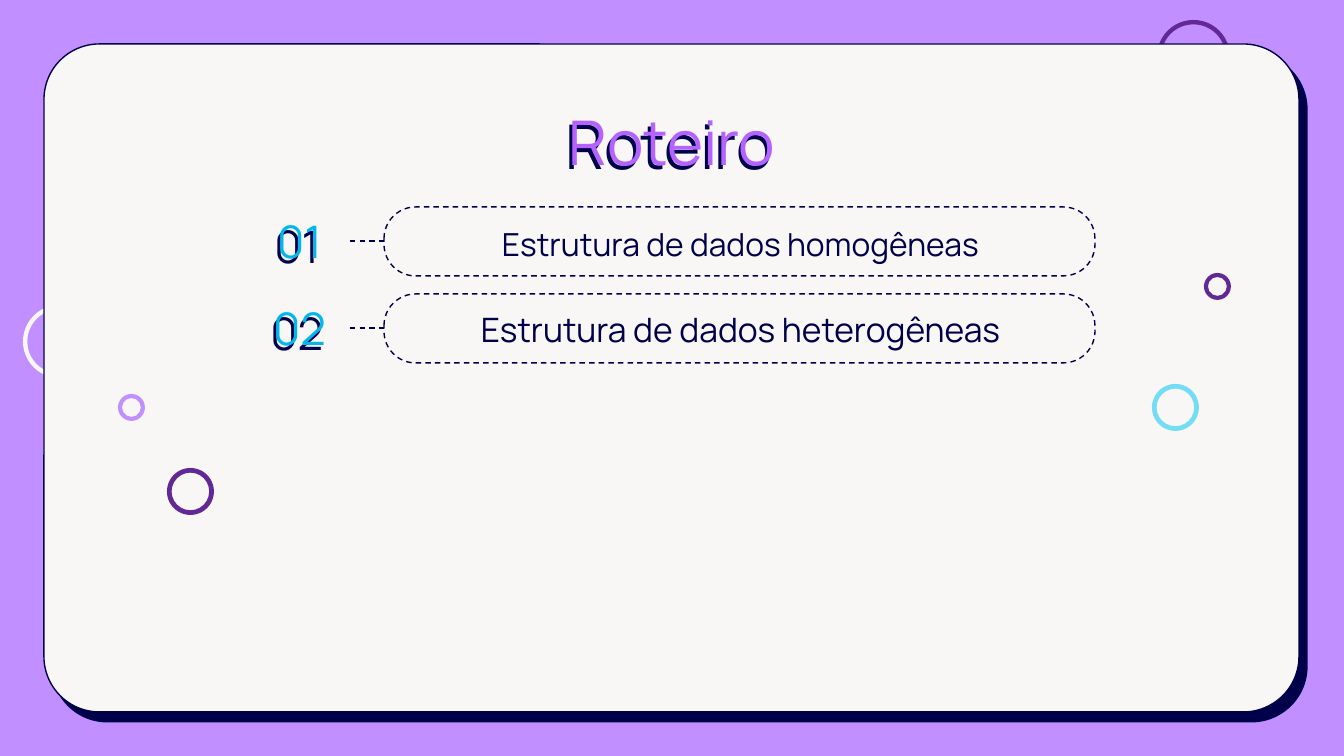
from dataclasses import dataclass

from lxml import etree
from pptx import Presentation
from pptx import util as u
from pptx.dml.color import RGBColor
from pptx.enum import dml, shapes, text
from pptx.oxml import ns

PX = u.Inches(10) / 1344
NAVY, CREAM, LILAC = "00004A", "F8F7F5", "C18FFF"
PLUM, CYAN, AQUA, VIOLET = "622996", "03B7EC", "74DDF3", "B563FF"
FONT = "Manrope"
TOP, STEP = 207, 87


@dataclass
class Box:
    x: int
    y: int
    w: int
    h: int

    def emu(self) -> list[int]:
        return [px(n) for n in (self.x, self.y, self.w, self.h)]


@dataclass
class Ring:
    x: int
    y: int
    size: int
    band: float
    hue: str


@dataclass
class Topic:
    mark: str
    label: str
    size: int


BACK = [Ring(1157, 20, 73, 0.06, PLUM), Ring(23, 305, 73, 0.06, CREAM)]
FRONT = [
    Ring(167, 468, 47, 0.1, PLUM),
    Ring(1204, 273, 27, 0.15, PLUM),
    Ring(1152, 384, 47, 0.1, AQUA),
    Ring(118, 394, 27, 0.15, LILAC),
]
TOPICS = [
    Topic("01", "Estrutura de dados homogêneas", 17),
    Topic("02", "Estrutura de dados heterogêneas", 18),
]


def px(n: int) -> int:
    return round(n * PX)


def rgb(code: str) -> RGBColor:
    return RGBColor.from_string(code)


def shade(shape, dist: float, angle: int) -> None:
    """Give the shape a hard navy shadow, dist in points, angle in degrees."""
    shape.shadow.inherit = False
    host = shape.element.spPr.find(ns.qn("a:effectLst"))
    cast = etree.SubElement(
        host, ns.qn("a:outerShdw"), blurRad="0", dist=str(u.Pt(dist)),
        dir=str(angle * 60000), algn="bl", rotWithShape="0")
    etree.SubElement(cast, ns.qn("a:srgbClr"), val=NAVY)


def edge(line, dash: bool) -> None:
    line.color.rgb = rgb(NAVY)
    line.width = u.Pt(0.75)
    if dash:
        line.dash_style = dml.MSO_LINE.DASH


def panel(slide, box: Box, bend: float, dash: bool):
    shape = slide.shapes.add_shape(
        shapes.MSO_SHAPE.ROUNDED_RECTANGLE, *box.emu())
    shape.adjustments[0] = bend
    shape.shadow.inherit = False
    shape.fill.solid()
    shape.fill.fore_color.rgb = rgb(CREAM)
    edge(shape.line, dash)
    return shape


def ring(slide, item: Ring) -> None:
    box = Box(item.x, item.y, item.size, item.size)
    shape = slide.shapes.add_shape(shapes.MSO_SHAPE.DONUT, *box.emu())
    shape.adjustments[0] = item.band
    shape.shadow.inherit = False
    shape.fill.solid()
    shape.fill.fore_color.rgb = rgb(item.hue)
    shape.line.fill.background()


def link(slide, x: int, end: int, y: int) -> None:
    line = slide.shapes.add_connector(
        shapes.MSO_CONNECTOR.STRAIGHT, px(x), px(y), px(end), px(y))
    edge(line.line, True)
    etree.SubElement(line.element.spPr, ns.qn("a:effectLst"))


def write(slide, slot: int, words: str, box: Box, size: int, hue: str,
          anchor: text.MSO_ANCHOR):
    """Fill a placeholder, place it and bring it to the front."""
    shape = slide.placeholders[slot]
    shape.left, shape.top, shape.width, shape.height = box.emu()
    slide.shapes.element.append(shape.element)
    frame = shape.text_frame
    frame.text = words
    frame.word_wrap = True
    frame.auto_size = text.MSO_AUTO_SIZE.NONE
    frame.vertical_anchor = anchor
    frame.margin_left = frame.margin_right = u.Inches(0.1)
    frame.margin_top = frame.margin_bottom = u.Inches(0.1)
    para = frame.paragraphs[0]
    para.alignment = text.PP_ALIGN.CENTER
    para.space_before = u.Pt(0)
    props = para._p.get_or_add_pPr()
    props.set("marL", "0")
    props.set("indent", "0")
    etree.SubElement(props, ns.qn("a:buNone"))
    font = para.runs[0].font
    font.name, font.size, font.bold = FONT, u.Pt(size), False
    font.color.rgb = rgb(hue)
    return shape


def main() -> None:
    deck = Presentation()
    deck.slide_width, deck.slide_height = px(1344), px(756)
    # The comparison layout has a title and two pairs of body slots.
    slide = deck.slides.add_slide(deck.slide_layouts[4])
    slide.background.fill.solid()
    slide.background.fill.fore_color.rgb = rgb(LILAC)

    for item in BACK:
        ring(slide, item)
    card = panel(slide, Box(44, 44, 1255, 668), 0.083, False)
    shade(card, 6.8, 51)

    head = write(slide, 0, "Roteiro", Box(105, 90, 1134, 90), 33, VIOLET,
                 text.MSO_ANCHOR.TOP)
    shade(head, 3, 120)

    for i, topic in enumerate(TOPICS):
        y = TOP + i * STEP
        panel(slide, Box(384, y, 711, 69), 0.458, True)
        mark = write(slide, 2 * i + 1, topic.mark, Box(249, y - 1, 101, 70),
                     24, CYAN, text.MSO_ANCHOR.MIDDLE)
        shade(mark, 3, 120)
        write(slide, 2 * i + 2, topic.label, Box(407, y - 1, 667, 70),
              topic.size, NAVY, text.MSO_ANCHOR.BOTTOM)
        link(slide, 350, 384, y + 34)

    for item in FRONT:
        ring(slide, item)
    deck.save("out.pptx")


if __name__ == "__main__":
    main()
